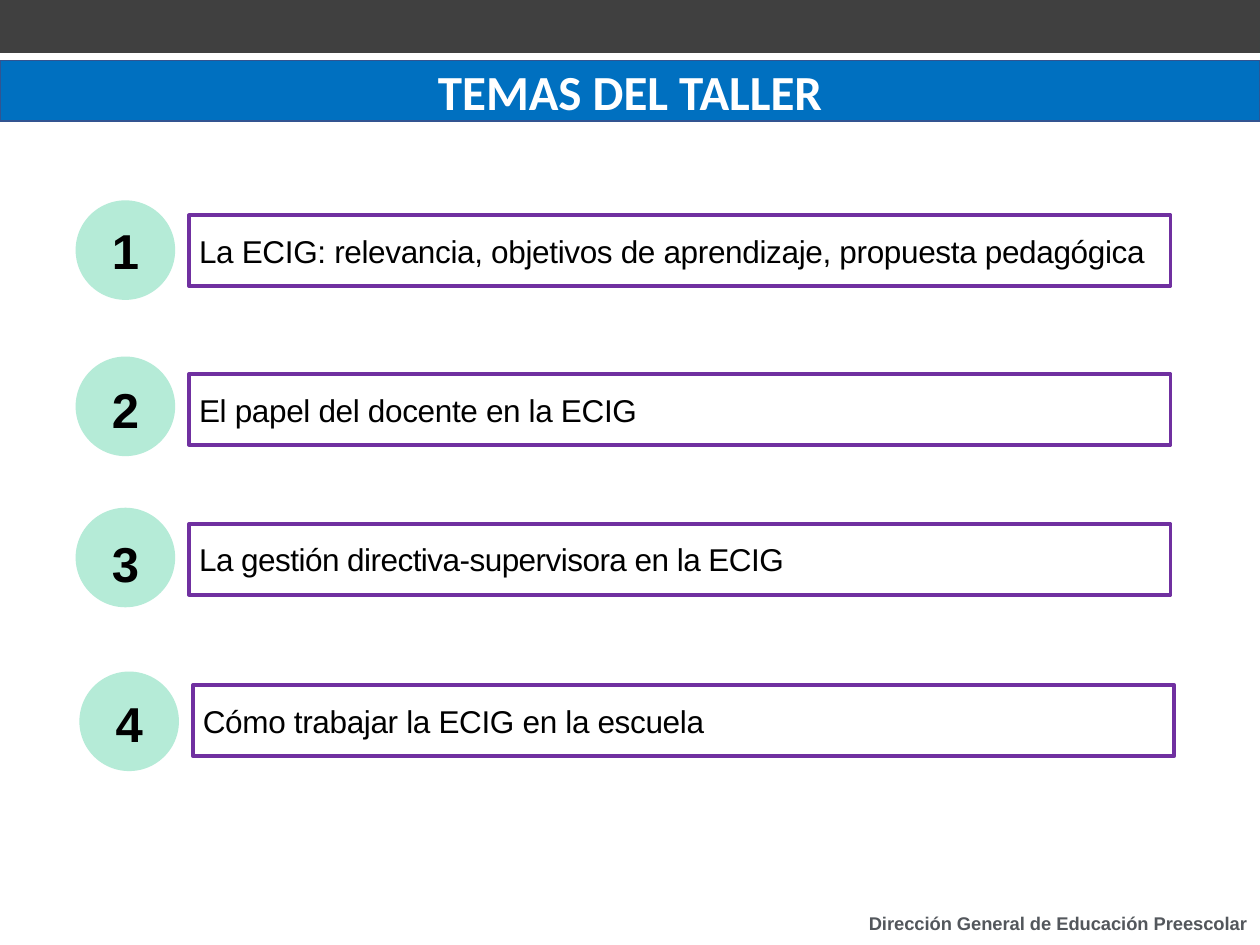
from pptx import Presentation
from pptx.dml.color import RGBColor
from pptx.enum.shapes import MSO_SHAPE as Shape
from pptx.enum.text import MSO_ANCHOR as Anchor, PP_ALIGN as Align
from pptx.util import Inches, Pt

WHITE = RGBColor(0xFF, 0xFF, 0xFF)
BLACK = RGBColor(0x00, 0x00, 0x00)
DARK_GRAY = RGBColor(0x40, 0x40, 0x40)
FOOTER_GRAY = RGBColor(0x53, 0x57, 0x5C)
BLUE = RGBColor(0x00, 0x70, 0xC0)
NAVY = RGBColor(0x32, 0x54, 0x91)
MINT = RGBColor(0xB5, 0xEB, 0xD7)
PURPLE = RGBColor(0x70, 0x30, 0xA0)

CIRCLE_SIZE = 0.79
NUMBER_SIZE = 0.55

# Topic, left edge, then tops of circle, number and box, and letter spacing
TOPICS = [
    ("La ECIG: relevancia, objetivos de aprendizaje, propuesta pedagógica",
     0.6, 1.59, 1.71, 1.71, -0.2),
    ("El papel del docente en la ECIG", 0.6, 2.83, 2.97, 2.97, -0.2),
    ("La gestión directiva-supervisora en la ECIG", 0.6, 4.03, 4.19, 4.16, -0.3),
    ("Cómo trabajar la ECIG en la escuela", 0.63, 5.33, 5.46, 5.44, -0.2),
]


def write_text(shape, text, *, size, color=BLACK, font="Arial", bold=False,
               align=Align.CENTER, anchor=Anchor.MIDDLE, spacing=None,
               space_after=0, margins=(0.1, 0.05, 0.1, 0.05)):
    frame = shape.text_frame
    frame.word_wrap = True
    frame.vertical_anchor = anchor
    (frame.margin_left, frame.margin_top,
     frame.margin_right, frame.margin_bottom) = map(Inches, margins)
    paragraph = frame.paragraphs[0]
    paragraph.alignment = align
    paragraph.space_after = Pt(space_after)
    run = paragraph.add_run()
    run.text = text
    run.font.name = font
    run.font.size = Pt(size)
    run.font.bold = bold
    run.font.color.rgb = color
    if spacing is not None:
        run._r.get_or_add_rPr().set("spc", str(round(spacing * 100)))


def add_shape(slide, kind, left, top, width, height, fill, line=None, line_width=1):
    shape = slide.shapes.add_shape(
        kind, Inches(left), Inches(top), Inches(width), Inches(height))
    shape.shadow.inherit = False
    shape.fill.solid()
    shape.fill.fore_color.rgb = fill
    if line is None:
        shape.line.fill.background()
    else:
        shape.line.color.rgb = line
        shape.line.width = Pt(line_width)
    return shape


def add_label(slide, text, left, top, width, height, **text_format):
    box = slide.shapes.add_textbox(
        Inches(left), Inches(top), Inches(width), Inches(height))
    write_text(box, text, **text_format)


def add_topic(slide, number, topic, left, circle_top, number_top, box_top, spacing):
    # Numbered circle
    add_shape(slide, Shape.OVAL, left, circle_top, CIRCLE_SIZE, CIRCLE_SIZE, MINT)
    inset = (CIRCLE_SIZE - NUMBER_SIZE) / 2
    add_label(slide, str(number), left + inset, number_top, NUMBER_SIZE, NUMBER_SIZE,
              size=28, bold=True, spacing=0.8, margins=(0.08,) * 4)

    # Framed topic
    box = add_shape(slide, Shape.RECTANGLE, left + 0.9, box_top, 7.79, 0.56,
                    WHITE, PURPLE, 2.25)
    write_text(box, topic, size=18, align=Align.JUSTIFY, spacing=spacing,
               space_after=6, margins=(0.08, 0.04, 0.16, 0.04))


def main():
    presentation = Presentation()
    presentation.slide_width = Inches(10)
    presentation.slide_height = Inches(7.5)
    slide = presentation.slides.add_slide(presentation.slide_layouts[6])

    # Top band and footer
    add_shape(slide, Shape.RECTANGLE, 0, 0, 10, 0.42, DARK_GRAY)
    add_label(slide, "Dirección General de Educación Preescolar", 4.57, 7.19, 5.43, 0.29,
              size=10.5, color=FOOTER_GRAY, bold=True, align=Align.RIGHT,
              anchor=Anchor.TOP)

    # Title
    title = add_shape(slide, Shape.RECTANGLE, 0, 0.48, 10, 0.48, BLUE, NAVY)
    write_text(title, "TEMAS DEL TALLER", size=28, color=WHITE, font="Calibri", bold=True)

    # Workshop topics
    for number, topic in enumerate(TOPICS, start=1):
        add_topic(slide, number, *topic)

    presentation.save("out.pptx")


if __name__ == "__main__":
    main()
